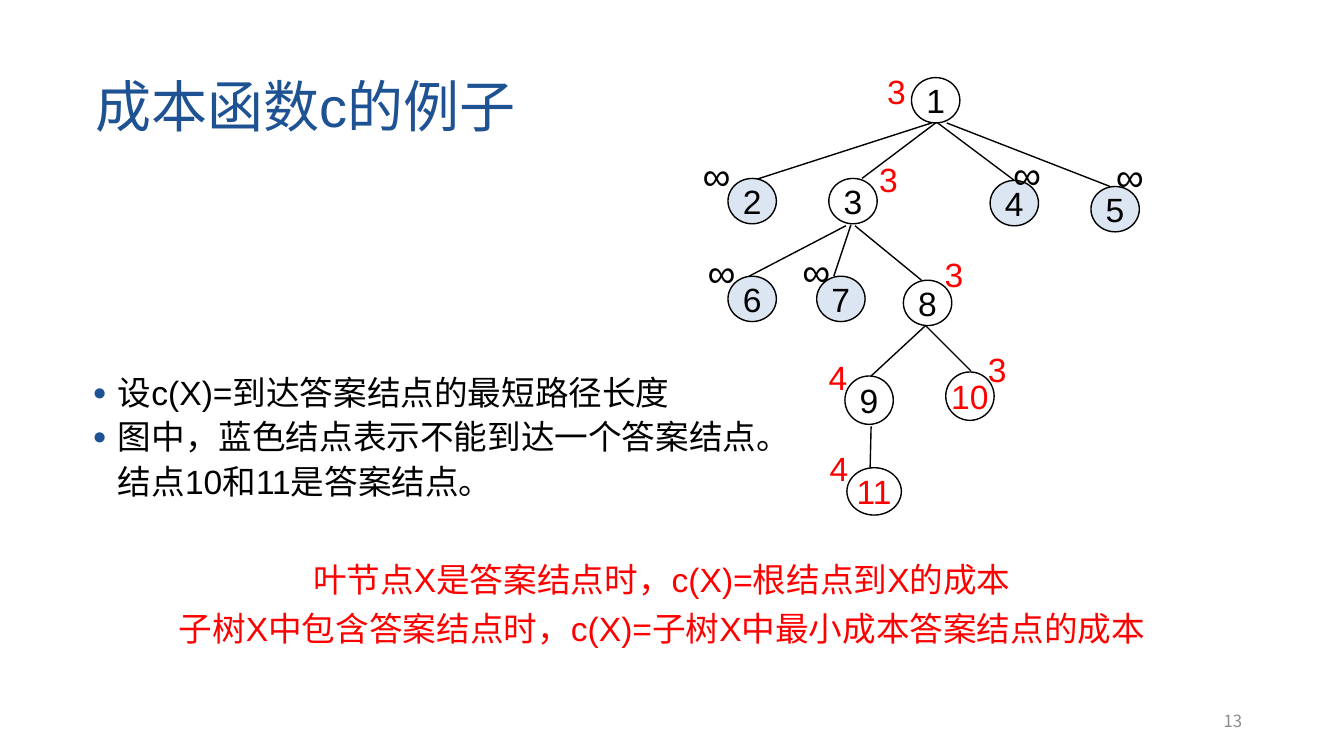
from lxml import etree
from pptx import Presentation
from pptx.dml.color import RGBColor
from pptx.enum.shapes import MSO_CONNECTOR as CONNECTOR, MSO_SHAPE as SHAPE
from pptx.enum.text import MSO_ANCHOR as ANCHOR, PP_ALIGN as ALIGN
from pptx.oxml.ns import qn
from pptx.util import Inches, Pt

THEME = {
    "font": "Arial", "number_font": "Noto Sans CJK SC",
    "black": "000000", "red": "FF0000", "white": "FFFFFF",
    "blue": "1E5293", "dead": "DCE6F2", "grey": "8C8C8C",
    "title": 40, "infinity": 28, "text": 24, "number": 12,
    "line": 1,
}

TITLE = ["成本函数c的例子"]
POINTS = [
    "设c(X)=到达答案结点的最短路径长度",
    "图中，蓝色结点表示不能到达一个答案结点。结点10和11是答案结点。",
]
RULES = [
    "叶节点X是答案结点时，c(X)=根结点到X的成本",
    "子树X中包含答案结点时，c(X)=子树X中最小成本答案结点的成本",
]
PAGE = ["13"]

INFINITE = "∞"
ANSWERS = {"10", "11"}
# label: (left, top, width, height), cost, (cost left, cost top)
NODES = {
    "1": ((9.04, 0.77, 0.48, 0.45), "3", (8.7, 0.65)),
    "2": ((7.22, 1.77, 0.48, 0.45), INFINITE, (6.87, 1.45)),
    "3": ((8.22, 1.77, 0.48, 0.45), "3", (8.62, 1.53)),
    "4": ((9.82, 1.79, 0.48, 0.45), INFINITE, (9.95, 1.44)),
    "5": ((10.82, 1.85, 0.48, 0.45), INFINITE, (10.97, 1.46)),
    "6": ((7.22, 2.74, 0.48, 0.45), INFINITE, (6.92, 2.41)),
    "7": ((8.1, 2.74, 0.48, 0.45), INFINITE, (7.86, 2.4)),
    "8": ((8.96, 2.78, 0.48, 0.45), "3", (9.27, 2.47)),
    "9": ((8.38, 3.73, 0.48, 0.48), "4", (8.12, 3.49)),
    "10": ((9.38, 3.69, 0.48, 0.48), "3", (9.7, 3.41)),
    "11": ((8.4, 4.64, 0.54, 0.47), "4", (8.13, 4.39)),
}
# start x, start y, end x, end y
BRANCHES = [
    (9.24, 1.22, 7.5, 1.78), (9.28, 1.22, 8.55, 1.77),
    (9.3, 1.22, 10.06, 1.79), (9.39, 1.22, 11.01, 1.85),
    (8.39, 2.24, 7.43, 2.74), (8.44, 2.23, 8.27, 2.74),
    (8.48, 2.24, 9.14, 2.78),
    (9.18, 3.23, 8.64, 3.73), (9.18, 3.23, 9.63, 3.68),
    (8.64, 4.23, 8.63, 4.64),
]


def color(name):
    return RGBColor.from_string(THEME[name])


def add_bullet(paragraph):
    props = paragraph._p.get_or_add_pPr()
    props.set("marL", str(Inches(0.25)))
    props.set("indent", str(-Inches(0.25)))
    tint = etree.SubElement(props, qn("a:buClr"))
    etree.SubElement(tint, qn("a:srgbClr"), val=THEME["blue"])
    etree.SubElement(props, qn("a:buSzPct"), val="70000")
    etree.SubElement(props, qn("a:buFont"), typeface=THEME["font"])
    etree.SubElement(props, qn("a:buChar"), char="●")


def write(frame, lines, size="text", ink="black", font="font", wrap=True,
          anchor=ANCHOR.TOP, align=ALIGN.LEFT, spacing=1.0, bullets=False):
    frame.word_wrap, frame.vertical_anchor = wrap, anchor
    for index, line in enumerate(lines):
        paragraph = frame.add_paragraph() if index else frame.paragraphs[0]
        if bullets:
            add_bullet(paragraph)
        paragraph.alignment, paragraph.line_spacing = align, spacing
        run = paragraph.add_run()
        run.text = line
        look = {"name": THEME[font], "size": Pt(THEME[size])}
        for key, value in look.items():
            setattr(run.font, key, value)
        run.font.color.rgb = color(ink)
        etree.SubElement(run._r.get_or_add_rPr(), qn("a:ea"), typeface=THEME[font])


def add_text(slide, box, lines, **look):
    write(slide.shapes.add_textbox(*map(Inches, box)).text_frame, lines, **look)


def draw_line(line):
    line.color.rgb = color("black")
    line.width = Pt(THEME["line"])


def add_branch(slide, ends):
    branch = slide.shapes.add_connector(CONNECTOR.STRAIGHT, *map(Inches, ends))
    draw_line(branch.line)
    etree.SubElement(branch._element.spPr, qn("a:effectLst"))


def add_node(slide, label, box, cost):
    node = slide.shapes.add_shape(SHAPE.OVAL, *map(Inches, box))
    node.shadow.inherit = False
    node.fill.solid()
    node.fill.fore_color.rgb = color("dead" if cost == INFINITE else "white")
    draw_line(node.line)
    write(node.text_frame, [label], ink="red" if label in ANSWERS else "black",
          wrap=False, anchor=ANCHOR.MIDDLE, align=ALIGN.CENTER)


def add_cost(slide, cost, place):
    if cost == INFINITE:
        add_text(slide, (*place, 0.57, 0.57), [cost], size="infinity", wrap=False)
    else:
        add_text(slide, (*place, 0.39, 0.5), [cost], ink="red", wrap=False)


def main():
    deck = Presentation()
    deck.slide_width, deck.slide_height = Inches(13.33), Inches(7.5)
    slide = deck.slides.add_slide(deck.slide_layouts[6])

    add_text(slide, (0.85, 0.59, 11.5, 0.99), TITLE, size="title", ink="blue",
             anchor=ANCHOR.MIDDLE, spacing=0.9)
    add_text(slide, (0.82, 3.6, 6.98, 1.62), POINTS, spacing=1.1, bullets=True)
    add_text(slide, (9.42, 6.95, 3, 0.4), PAGE, size="number", ink="grey",
             font="number_font", anchor=ANCHOR.MIDDLE, align=ALIGN.RIGHT)

    for ends in BRANCHES:
        add_branch(slide, ends)
    for label, (box, cost, _) in NODES.items():
        add_node(slide, label, box, cost)
    for _, cost, place in NODES.values():
        add_cost(slide, cost, place)

    add_text(slide, (1.23, 5.42, 10.67, 1.07), RULES, ink="red",
             align=ALIGN.CENTER, spacing=1.2)
    deck.save("out.pptx")


if __name__ == "__main__":
    main()
